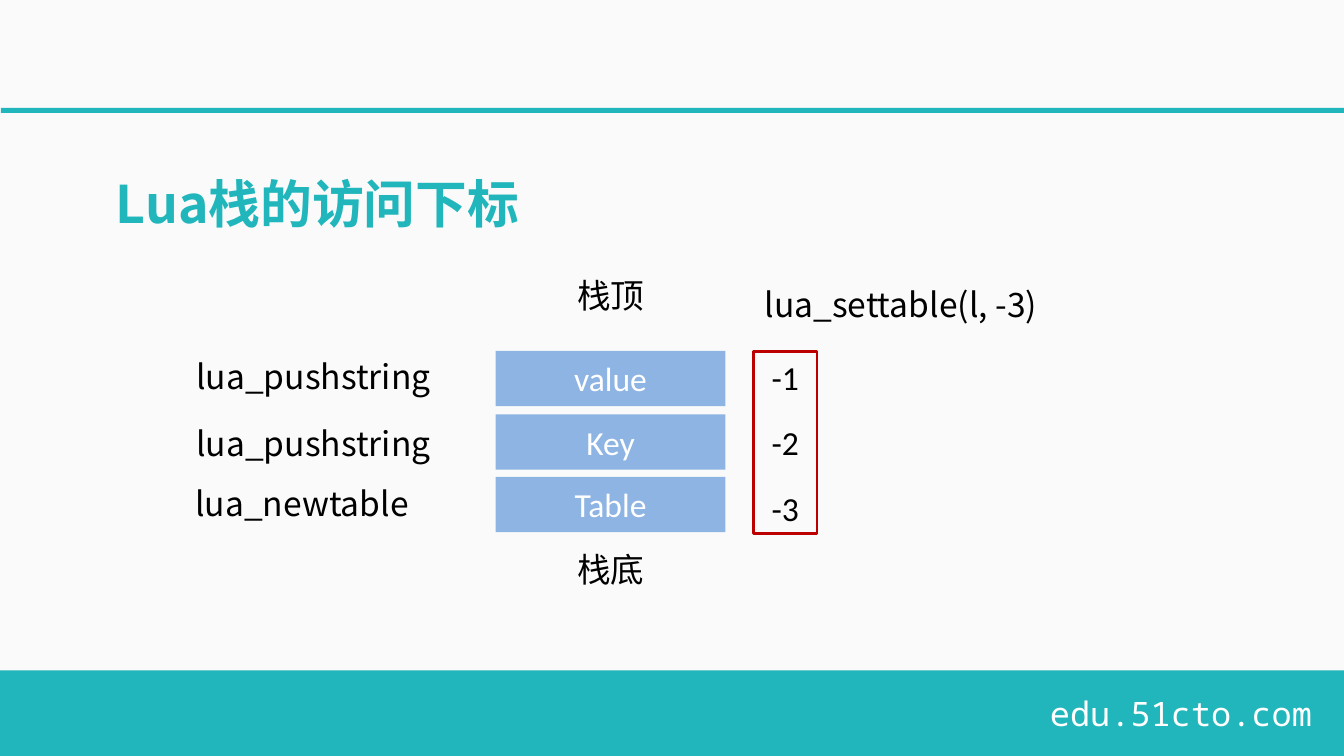
from pptx import Presentation
from pptx.dml.color import RGBColor
from pptx.enum.shapes import MSO_SHAPE as SHAPE
from pptx.enum.text import MSO_ANCHOR as ANCHOR, MSO_AUTO_SIZE as AUTO_SIZE, PP_ALIGN as ALIGN
from pptx.oxml.ns import qn
from pptx.util import Pt
from lxml import etree

PX = 9144  # 100 px to the inch
TEAL, BLUE, RED, BLACK, WHITE = "21B6BB", "8EB4E3", "BC0000", "000000", "FFFFFF"
SANS, MONO, LATIN = "Noto Sans CJK SC", "Noto Sans Mono", "Calibri"


def write(shape, text, color, font=LATIN, size=24, align=ALIGN.LEFT, wrap=True, bold=False):
    """Fill a shape with text; Chinese characters always use the sans face."""
    frame = shape.text_frame
    frame.text = text
    frame.word_wrap = wrap
    frame.auto_size = AUTO_SIZE.NONE
    for para in frame.paragraphs:
        para.alignment = align
        for span in para.runs:
            span.font.name = font
            span.font.size = Pt(size)
            span.font.bold = bold
            span.font.color.rgb = RGBColor.from_string(color)
            east_asian = etree.SubElement(span.font._element, qn("a:ea"))
            east_asian.set("typeface", SANS)


def rectangle(left, top, width, height, fill=None, line=None):
    shape = page.shapes.add_shape(SHAPE.RECTANGLE, left * PX, top * PX, width * PX, height * PX)
    shape.shadow.inherit = False
    shape.text_frame.vertical_anchor = ANCHOR.MIDDLE
    if fill:
        shape.fill.solid()
        shape.fill.fore_color.rgb = RGBColor.from_string(fill)
    else:
        shape.fill.background()
    if line:
        shape.line.color.rgb = RGBColor.from_string(line)
        shape.line.width = Pt(2)
    else:
        shape.line.fill.background()
    return shape


deck = Presentation()
deck.slide_width, deck.slide_height = 1334 * PX, 750 * PX
page = deck.slides.add_slide(deck.slide_layouts[5])

# Background, footer band and header rule
backdrop = page.background.fill
backdrop.gradient()
backdrop.gradient_angle = 270
for stop, shade in zip(backdrop.gradient_stops, ("FAFAFA", "FCFCFC")):
    stop.color.rgb = RGBColor.from_string(shade)
rectangle(0, 665, 1334, 85, TEAL)
rectangle(1, 107, 1333, 5, TEAL)
address = page.shapes.add_textbox(769 * PX, 683 * PX, 543 * PX, 50 * PX)
write(address, "edu.51cto.com", WHITE, MONO, align=ALIGN.RIGHT)

title = page.shapes.title
title.left, title.top, title.width, title.height = 105 * PX, 162 * PX, 1115 * PX, 78 * PX
title.text_frame.vertical_anchor = ANCHOR.MIDDLE
write(title, "Lua栈的访问下标", TEAL, SANS, 37, bold=True)

# Stack slots, top to bottom
for slot, top in (("value", 348), ("Key", 411), ("Table", 473)):
    write(rectangle(492, top, 228, 55, BLUE), slot, WHITE, align=ALIGN.CENTER)

# Labels around the stack
labels = (
    ("栈顶", 563, 268, 86, LATIN),
    ("栈底", 563, 540, 86, LATIN),
    ("lua_pushstring", 185, 348, 253, SANS),
    ("lua_pushstring", 185, 415, 253, SANS),
    ("lua_newtable", 184, 474, 232, SANS),
    ("lua_settable(l, -3)", 749, 277, 292, SANS),
)
for text, left, top, width, font in labels:
    label = page.shapes.add_textbox(left * PX, top * PX, width * PX, 50 * PX)
    write(label, text, BLACK, font, wrap=False)

# Negative indices beside the slots
indices = rectangle(748, 349, 63, 180, line=RED)
write(indices, "-1\n-2\n-3", BLACK, align=ALIGN.CENTER)
for para in indices.text_frame.paragraphs[1:]:
    para.space_before = Pt(18)

deck.save("out.pptx")
